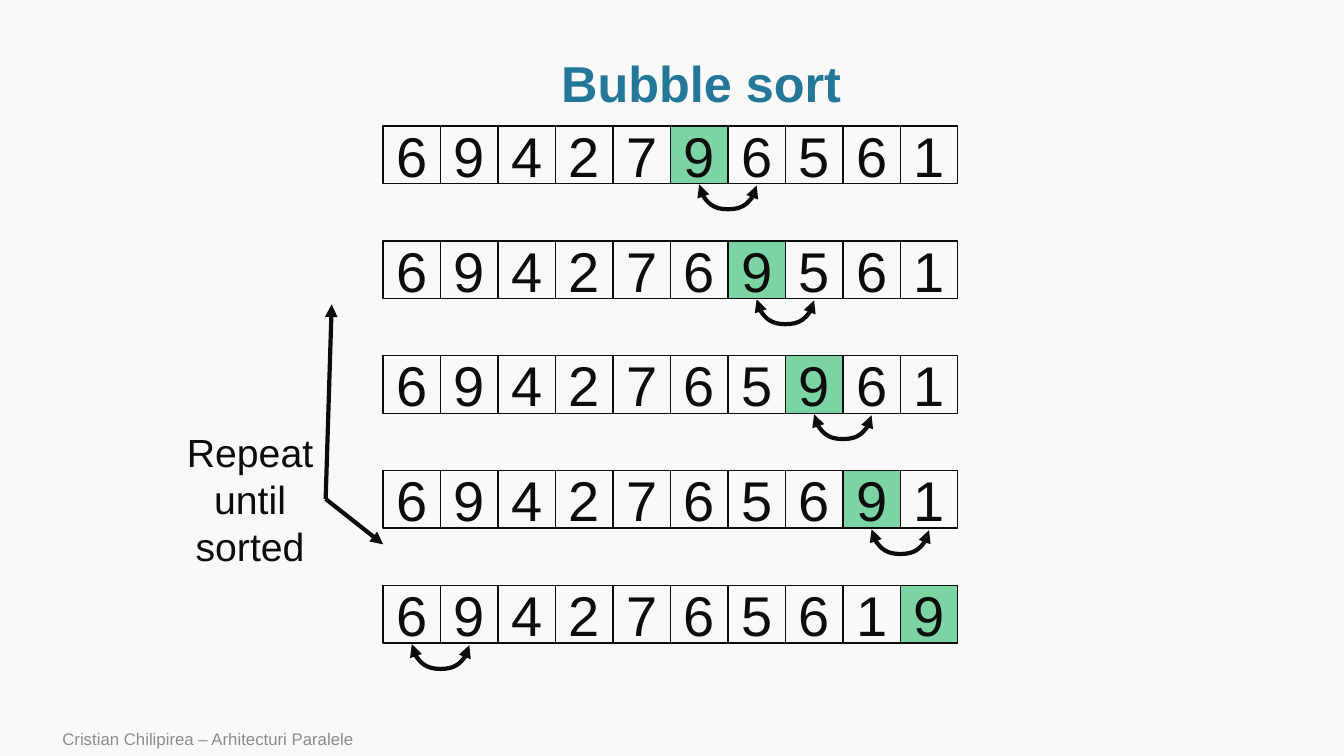
from lxml.etree import SubElement
from pptx import Presentation
from pptx.dml.color import RGBColor
from pptx.enum.shapes import MSO_CONNECTOR as Link, MSO_SHAPE
from pptx.enum.text import MSO_ANCHOR as Anchor, PP_ALIGN as Align
from pptx.oxml.ns import qn
from pptx.util import Inches, Pt

TITLE = "Bubble sort"
LOOP_NOTE = "Repeat until sorted"
FOOTER = "Cristian Chilipirea – Arhitecturi Paralele"
# Numbers, index of the highlighted number, index of the left number compared
PASSES = [
    ("6942796561", 5, 5),
    ("6942769561", 6, 6),
    ("6942765961", 7, 7),
    ("6942765691", 8, 8),
    ("6942765619", 9, 0),
]

INK = RGBColor(0x0C, 0x0C, 0x0C)
BLUE = RGBColor(0x24, 0x77, 0x98)
GREEN = RGBColor(0x00, 0xB0, 0x50)
GRAY = RGBColor(0x8C, 0x8C, 0x8C)
PAPER = RGBColor(0xF9, 0xF9, 0xF9)
FONT = "Arial"

CELL = 0.57
ROW_PITCH = 2 * CELL
GRID_LEFT, GRID_TOP = 3.8, 1.25
ARC_RISE = 0.01
ARC_DEPTH = 0.25
LOOP_START = (3.23, 4.95)
LOOP_ENDS = [(GRID_LEFT, 5.4), (3.29, 3.02)]


def write(shape, text, size, color, align=Align.CENTER, anchor=Anchor.MIDDLE):
    frame = shape.text_frame
    frame.word_wrap = True
    frame.vertical_anchor = anchor
    frame.text = text
    paragraph = frame.paragraphs[0]
    paragraph.alignment = align
    font = paragraph.font
    font.name, font.size, font.color.rgb = FONT, Pt(size), color
    return paragraph


def add_label(slide, box, *text_style, **placing):
    label = slide.shapes.add_textbox(*map(Inches, box))
    return write(label, *text_style, **placing)


def add_cell(slide, left, top, number, highlighted):
    cell = slide.shapes.add_shape(
        MSO_SHAPE.RECTANGLE, *map(Inches, (left, top, CELL, CELL)))
    cell.shadow.inherit = False
    cell.line.color.rgb = INK
    cell.line.width = Pt(1)
    if highlighted:
        cell.fill.solid()
        cell.fill.fore_color.rgb = GREEN
        tint = cell.fill._xPr.find(".//" + qn("a:srgbClr"))
        SubElement(tint, qn("a:alpha"), val="50000")
    else:
        cell.fill.background()
    write(cell, number, 40, INK)


def add_arrow(slide, kind, start, end, heads):
    arrow = slide.shapes.add_connector(kind, *map(Inches, start + end))
    arrow.line.color.rgb = INK
    arrow.line.width = Pt(3)
    for head in heads:
        SubElement(arrow.line._get_or_add_ln(), qn(head), type="triangle")
    properties = arrow._element.spPr
    SubElement(properties, qn("a:effectLst"))
    return properties


def add_swap_arc(slide, middle, top):
    """Turn a tall curved connector on its side so that it hangs below two cells."""
    center = top + ARC_RISE / 2
    properties = add_arrow(
        slide, Link.CURVE,
        (middle + ARC_RISE / 2, center - CELL / 2),
        (middle - ARC_RISE / 2, center + CELL / 2),
        ["a:headEnd", "a:tailEnd"])
    properties.find(qn("a:xfrm")).set("rot", str(270 * 60000))
    guides = properties.find(qn("a:prstGeom")).find(qn("a:avLst"))
    bend = round(ARC_DEPTH / ARC_RISE * 100000)
    SubElement(guides, qn("a:gd"), name="adj1", fmla=f"val {bend}")


def main():
    deck = Presentation()
    deck.slide_width, deck.slide_height = Inches(13.33), Inches(7.5)
    slide = deck.slides.add_slide(deck.slide_layouts[6])
    slide.background.fill.solid()
    slide.background.fill.fore_color.rgb = PAPER

    title = add_label(slide, (1.14, 0.51, 11.63, 0.69), TITLE, 36, BLUE)
    title.font.bold = True
    title.line_spacing = 0.9

    for row, (numbers, highlight, swap) in enumerate(PASSES):
        top = GRID_TOP + row * ROW_PITCH
        for column, number in enumerate(numbers):
            add_cell(slide, GRID_LEFT + column * CELL, top, number,
                     column == highlight)
        add_swap_arc(slide, GRID_LEFT + (swap + 1) * CELL, top + CELL + 0.01)

    add_label(slide, (1.73, 4.2, 1.5, 1.51), LOOP_NOTE, 28, INK,
              anchor=Anchor.TOP)
    for end in LOOP_ENDS:
        add_arrow(slide, Link.STRAIGHT, LOOP_START, end, ["a:tailEnd"])

    add_label(slide, (0.52, 7.16, 8.4, 0.34), FOOTER, 12, GRAY,
              align=Align.LEFT)
    deck.save("out.pptx")


if __name__ == "__main__":
    main()
